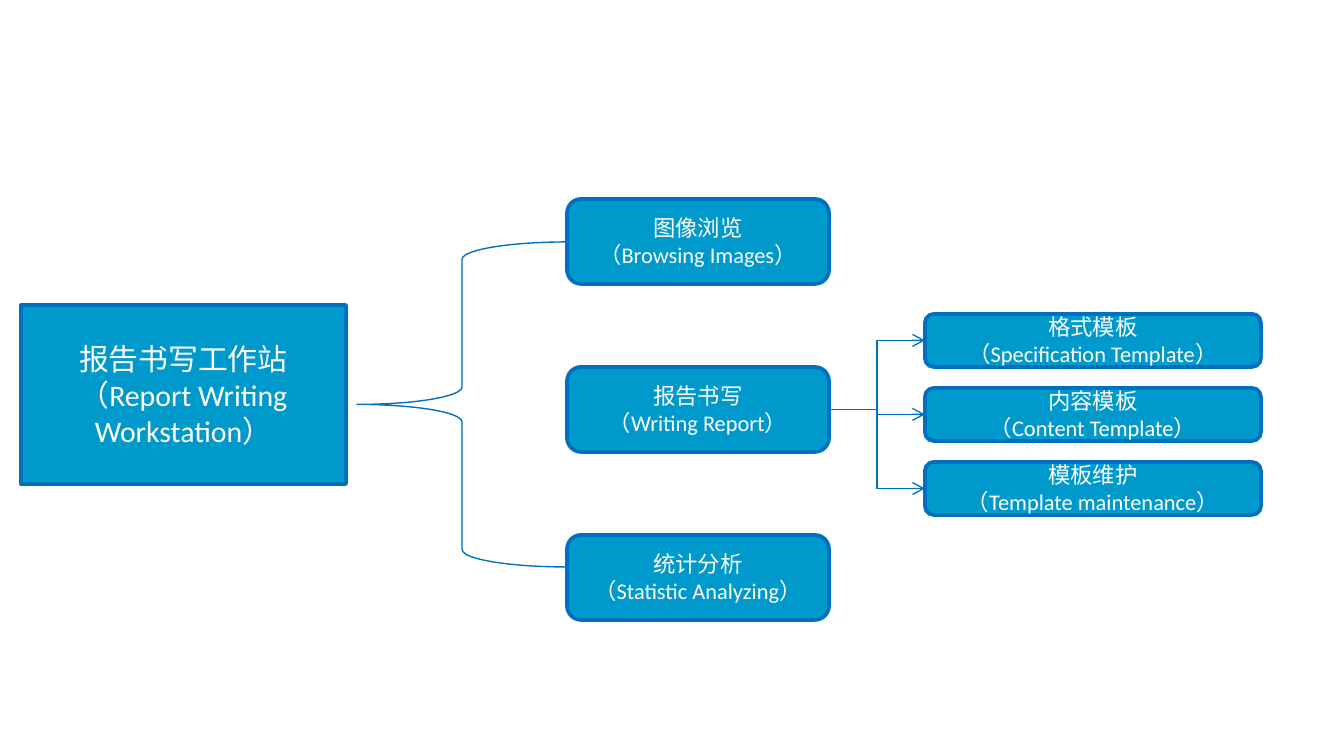
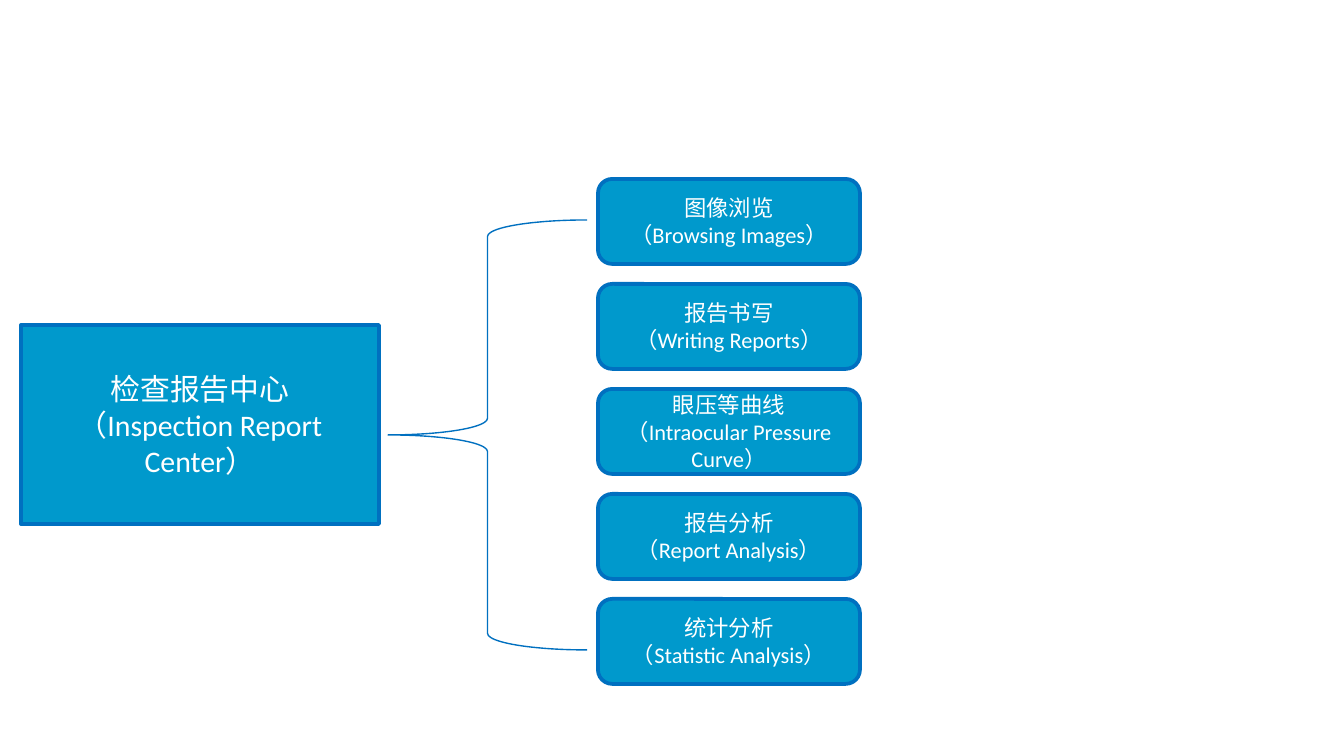
from dataclasses import dataclass

from lxml.etree import SubElement
from pptx import Presentation
from pptx.dml.color import RGBColor as Rgb
from pptx.enum.shapes import MSO_CONNECTOR as Link, MSO_SHAPE as Kind
from pptx.enum.text import MSO_ANCHOR as Anchor, PP_ALIGN as Align
from pptx.oxml.ns import qn
from pptx.shapes.autoshape import Shape
from pptx.slide import Slide
from pptx.util import Emu, Pt

SCALE = 914400 / 134.4


@dataclass(frozen=True)
class Theme:
    """Colours, font and sizes that all slides share."""
    fill: Rgb = Rgb(0x00, 0x99, 0xCC)
    line: Rgb = Rgb(0x00, 0x70, 0xC0)
    text: Rgb = Rgb(0xFF, 0xFF, 0xFF)
    font: str = "Calibri"
    root: Pt = Pt(16)
    node: Pt = Pt(12)
    edge: Pt = Pt(2)
    thin: Pt = Pt(0.75)


@dataclass(frozen=True)
class Box:
    """A place on the slide, in pixels."""
    left: int
    top: int
    width: int
    height: int

    def down(self, gap: int) -> "Box":
        """Return the same box moved down."""
        return Box(self.left, self.top + gap, self.width, self.height)


@dataclass(frozen=True)
class Stack:
    """A column of equal boxes with one label each."""
    first: Box
    step: int
    labels: tuple[str, ...]


@dataclass(frozen=True)
class Tree:
    """A root, the brace beside it and the column it opens to."""
    label: str
    root: Box
    brace: Box
    nodes: Stack


THEME = Theme()

WRITING = Tree(
    "报告书写工作站\n（Report Writing\nWorkstation）",
    Box(21, 305, 325, 179),
    Box(357, 242, 210, 325),
    Stack(Box(567, 199, 262, 85), 168, (
        "图像浏览\n（Browsing Images）",
        "报告书写\n（Writing Report）",
        "统计分析\n（Statistic Analyzing）",
    )),
)
PARTS = Stack(Box(925, 314, 336, 53), 74, (
    "格式模板\n（Specification Template）",
    "内容模板\n（Content Template）",
    "模板维护\n（Template maintenance）",
))
CENTER = Tree(
    "检查报告中心\n（Inspection Report Center）",
    Box(21, 325, 358, 199),
    Box(388, 220, 199, 430),
    Stack(Box(598, 179, 262, 85), 105, (
        "图像浏览\n（Browsing Images）",
        "报告书写\n（Writing Reports）",
        "眼压等曲线\n（Intraocular Pressure Curve）",
        "报告分析\n（Report Analysis）",
        "统计分析\n（Statistic Analysis）",
    )),
)


def px(count: int) -> Emu:
    """Turn pixels into EMU."""
    return Emu(round(count * SCALE))


def add_form(slide: Slide, kind: Kind, box: Box, width: Pt) -> Shape:
    """Add a preset shape with the shared outline and no shadow."""
    form = slide.shapes.add_shape(
        kind, px(box.left), px(box.top), px(box.width), px(box.height))
    form.shadow.inherit = False
    form.line.color.rgb = THEME.line
    form.line.width = width
    return form


def add_box(slide: Slide, kind: Kind, box: Box, label: str, size: Pt) -> Shape:
    """Add a filled box with centred text."""
    form = add_form(slide, kind, box, THEME.edge)
    form.fill.solid()
    form.fill.fore_color.rgb = THEME.fill
    frame = form.text_frame
    frame.text = label
    frame.word_wrap = True
    frame.vertical_anchor = Anchor.MIDDLE
    for para in frame.paragraphs:
        para.alignment = Align.CENTER
        for run in para.runs:
            run.font.name = THEME.font
            run.font.size = size
            run.font.color.rgb = THEME.text
    return form


def add_stack(slide: Slide, stack: Stack) -> list[Shape]:
    """Add a column of rounded boxes at equal steps."""
    return [
        add_box(slide, Kind.ROUNDED_RECTANGLE,
                stack.first.down(row * stack.step), label, THEME.node)
        for row, label in enumerate(stack.labels)
    ]


def add_tree(slide: Slide, tree: Tree) -> list[Shape]:
    """Add the root, its brace and its nodes; return the nodes."""
    add_box(slide, Kind.RECTANGLE, tree.root, tree.label, THEME.root)
    brace = add_form(slide, Kind.LEFT_BRACE, tree.brace, THEME.thin)
    brace.fill.background()
    return add_stack(slide, tree.nodes)


def add_arrow(slide: Slide, start: Shape, end: Shape) -> None:
    """Join the right side of one box to the left side of another."""
    arrow = slide.shapes.add_connector(Link.ELBOW, 0, 0, 0, 0)
    arrow.begin_connect(start, 3)
    arrow.end_connect(end, 1)
    arrow.line.color.rgb = THEME.line
    arrow.line.width = THEME.thin
    props = arrow._element.spPr
    SubElement(props.find(qn("a:ln")), qn("a:tailEnd"), type="arrow")
    SubElement(props, qn("a:effectLst"))


def main() -> None:
    """Build both slides and save them."""
    deck = Presentation()
    deck.slide_width, deck.slide_height = px(1344), px(756)
    blank = deck.slide_layouts[6]

    slide = deck.slides.add_slide(blank)
    _, report, _ = add_tree(slide, WRITING)
    for part in add_stack(slide, PARTS):
        add_arrow(slide, report, part)

    add_tree(deck.slides.add_slide(blank), CENTER)
    deck.save("out.pptx")


main()
